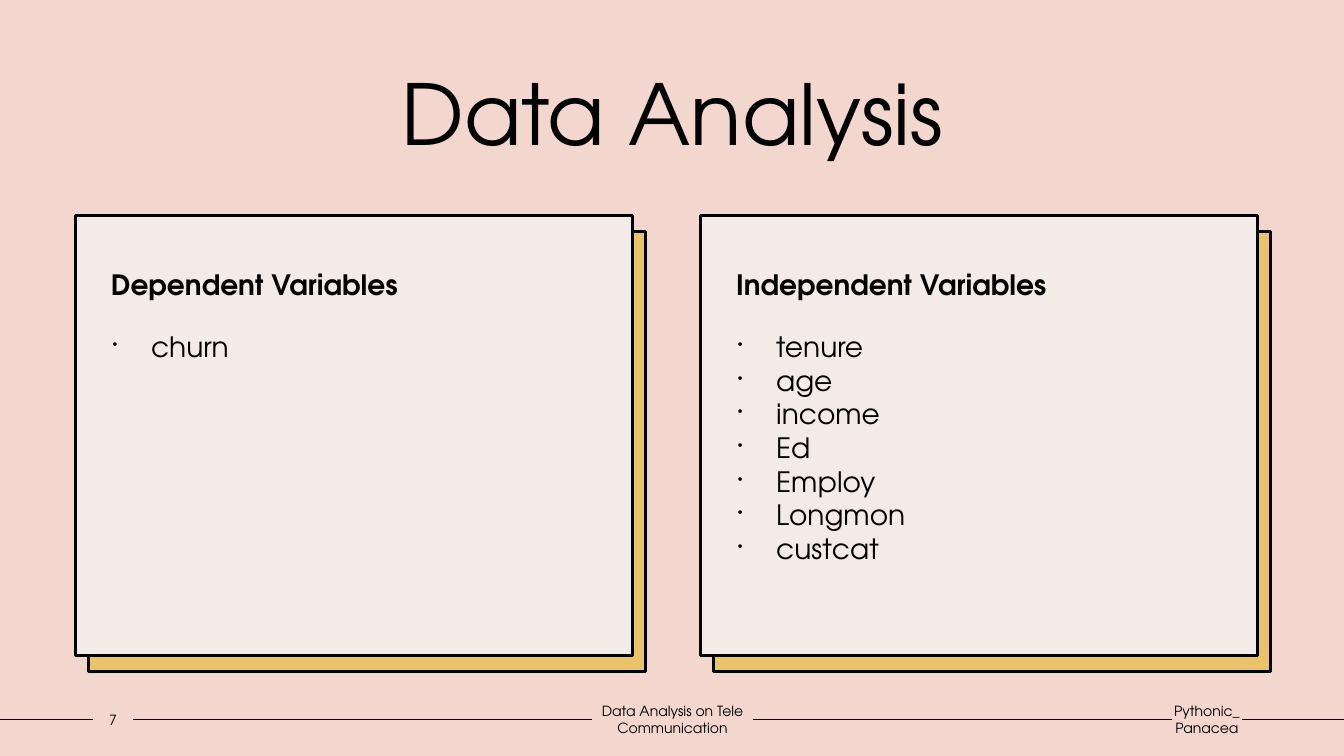
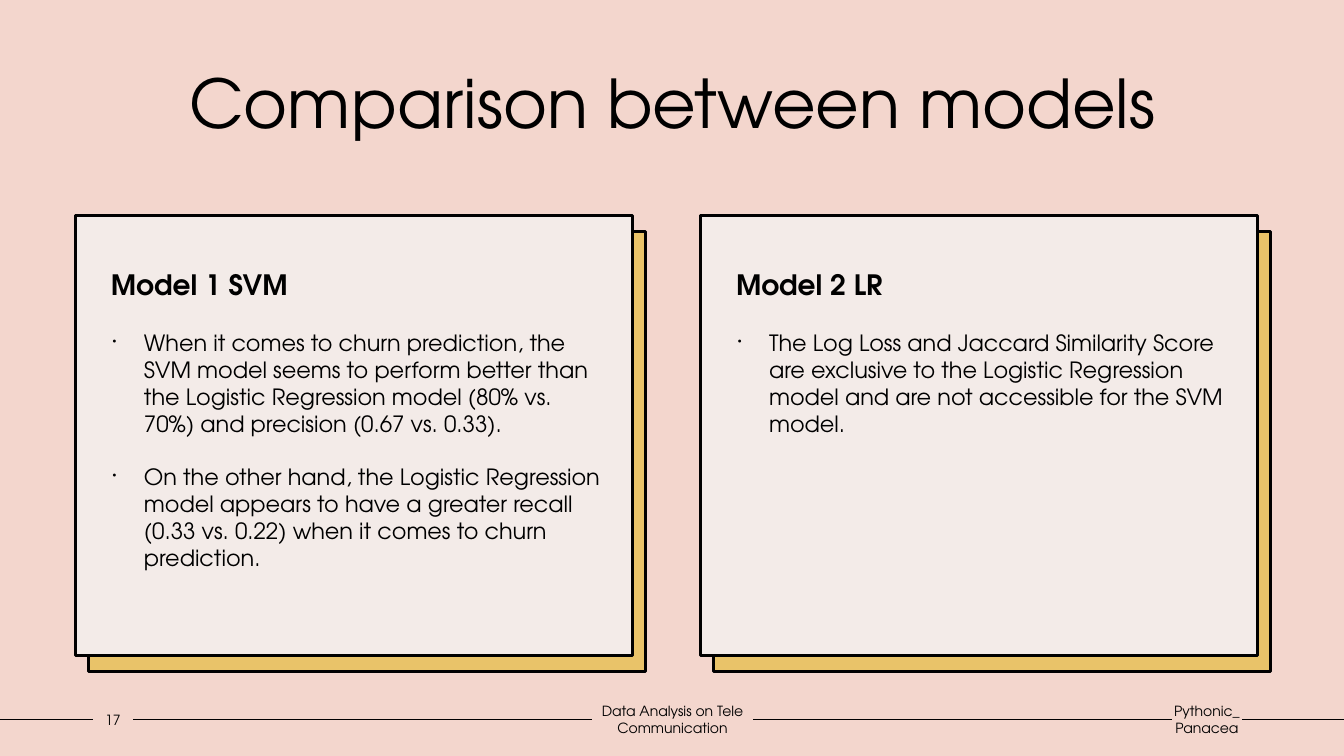
from lxml import etree
from pptx import Presentation
from pptx.dml.color import RGBColor
from pptx.enum.shapes import MSO_CONNECTOR, MSO_SHAPE
from pptx.enum.text import MSO_ANCHOR, PP_ALIGN
from pptx.oxml.ns import qn
from pptx.util import Inches, Pt

STRAIGHT = MSO_CONNECTOR.STRAIGHT
RECTANGLE = MSO_SHAPE.RECTANGLE
TOP, MIDDLE = MSO_ANCHOR.TOP, MSO_ANCHOR.MIDDLE
LEFT, CENTER = PP_ALIGN.LEFT, PP_ALIGN.CENTER
LEFT_SIDE, RIGHT_SIDE = 1, 3

FONT = "TeX Gyre Adventor"
COLORS = {"background": "F3D6CD", "card": "F3EBE8", "backing": "E9C369", "ink": "000000"}
SLIDE_WIDTH, SLIDE_HEIGHT = 13.33, 7.5

TITLE_BOX = (1.25, 0.56, 10.84, 1.11)
CARD_LEFTS, CARD_TOP = (0.75, 6.95), 2.14
CARD_WIDTH, CARD_HEIGHT = 5.52, 4.36
BACKING_SHIFT = (0.13, 0.16)
FOOTER_TOP, FOOTER_HEIGHT = 7.0, 0.28
FOOTER_COLUMNS = ((0.92, 0.4), (5.87, 1.6), (11.62, 0.7))
FOOTER_TEXTS = ("Data Analysis on Tele Communication", "Pythonic_Panacea")
DEFAULT_INSETS = (0.1, 0.05, 0.1, 0.05)

SLIDES = (
    {
        "title": "Data Analysis", "title_size": 60, "page": "7",
        "body_size": 20, "indent": 0.38, "gap": 0,
        "cards": (
            ("Dependent Variables", ("churn",)),
            ("Independent Variables",
             ("tenure", "age", "income", "Ed", "Employ", "Longmon", "custcat")),
        ),
    },
    {
        "title": "Comparison between models", "title_size": 48, "page": "17",
        "body_size": 16, "indent": 0.31, "gap": 19,
        "cards": (
            ("Model 1 SVM", (
                "When it comes to churn prediction, the SVM model seems to perform better "
                "than the Logistic Regression model (80% vs. 70%) and precision (0.67 vs. 0.33).",
                "On the other hand, the Logistic Regression model appears to have a greater "
                "recall (0.33 vs. 0.22) when it comes to churn prediction.",
            )),
            ("Model 2 LR", (
                "The Log Loss and Jaccard Similarity Score are exclusive to the Logistic "
                "Regression model and are not accessible for the SVM model.",
            )),
        ),
    },
)


def color(name):
    return RGBColor.from_string(COLORS[name])


def set_font(paragraph, size, bold=False):
    paragraph.font.name = FONT
    paragraph.font.size = Pt(size)
    paragraph.font.bold = bold
    paragraph.font.color.rgb = color("ink")


def prepare_frame(shape, insets=DEFAULT_INSETS, anchor=TOP):
    frame = shape.text_frame
    frame.word_wrap = True
    frame.vertical_anchor = anchor
    (frame.margin_left, frame.margin_top,
     frame.margin_right, frame.margin_bottom) = map(Inches, insets)
    return frame


def add_text(slide, box, text, size, insets=DEFAULT_INSETS, anchor=TOP):
    shape = slide.shapes.add_textbox(*map(Inches, box))
    paragraph = prepare_frame(shape, insets, anchor).paragraphs[0]
    paragraph.text = text
    paragraph.alignment = CENTER
    set_font(paragraph, size)
    return shape


def add_panel(slide, left, top, fill):
    shape = slide.shapes.add_shape(
        RECTANGLE, Inches(left), Inches(top), Inches(CARD_WIDTH), Inches(CARD_HEIGHT))
    shape.shadow.inherit = False
    shape.fill.solid()
    shape.fill.fore_color.rgb = color(fill)
    shape.line.color.rgb = color("ink")
    shape.line.width = Pt(2)
    return shape


def add_bullet(paragraph, indent):
    properties = paragraph._p.get_or_add_pPr()
    properties.set("marL", str(Inches(indent)))
    properties.set("indent", str(-Inches(indent)))
    etree.SubElement(properties, qn("a:buSzPct")).set("val", "50000")
    etree.SubElement(properties, qn("a:buChar")).set("char", "•")


def add_card(slide, left, top, heading, items, size, indent, gap):
    add_panel(slide, left + BACKING_SHIFT[0], top + BACKING_SHIFT[1], "backing")
    card = add_panel(slide, left, top, "card")
    paragraph = prepare_frame(card, (0.35, 0.55, 0.1, 0.05)).paragraphs[0]
    paragraph.text = heading
    paragraph.alignment = LEFT
    paragraph.line_spacing = 0.9
    set_font(paragraph, 20, bold=True)

    body = slide.shapes.add_textbox(
        Inches(left + 0.27), Inches(top + 1.08), Inches(5.04), Inches(3.05))
    frame = prepare_frame(body)
    for index, item in enumerate(items):
        paragraph = frame.add_paragraph() if index else frame.paragraphs[0]
        paragraph.text = item
        add_bullet(paragraph, indent)
        if index:
            paragraph.space_before = Pt(gap)
        set_font(paragraph, size)


def add_footer_line(slide, start_box, end_box):
    middle = Inches(FOOTER_TOP + FOOTER_HEIGHT / 2)
    line = slide.shapes.add_connector(STRAIGHT, 0, middle, Inches(SLIDE_WIDTH), middle)
    if start_box is not None:
        line.begin_connect(start_box, RIGHT_SIDE)
    if end_box is not None:
        line.end_connect(end_box, LEFT_SIDE)
    line.line.color.rgb = color("ink")
    line.line.width = Pt(1)
    etree.SubElement(line._element.spPr, qn("a:effectLst"))


def add_footer(slide, page):
    boxes = [
        add_text(slide, (left, FOOTER_TOP, width, FOOTER_HEIGHT), text, 10,
                 (0, 0.05, 0, 0.05), MIDDLE)
        for (left, width), text in zip(FOOTER_COLUMNS, (page, *FOOTER_TEXTS))
    ]
    for start_box, end_box in zip([None, *boxes], [*boxes, None]):
        add_footer_line(slide, start_box, end_box)


def add_two_card_slide(presentation, content):
    slide = presentation.slides.add_slide(presentation.slide_layouts[6])
    slide.background.fill.solid()
    slide.background.fill.fore_color.rgb = color("background")
    add_text(slide, TITLE_BOX, content["title"], content["title_size"])
    for left, (heading, items) in zip(CARD_LEFTS, content["cards"]):
        add_card(slide, left, CARD_TOP, heading, items,
                 content["body_size"], content["indent"], content["gap"])
    add_footer(slide, content["page"])


def main():
    presentation = Presentation()
    presentation.slide_width = Inches(SLIDE_WIDTH)
    presentation.slide_height = Inches(SLIDE_HEIGHT)
    for content in SLIDES:
        add_two_card_slide(presentation, content)
    presentation.save("out.pptx")


if __name__ == "__main__":
    main()
